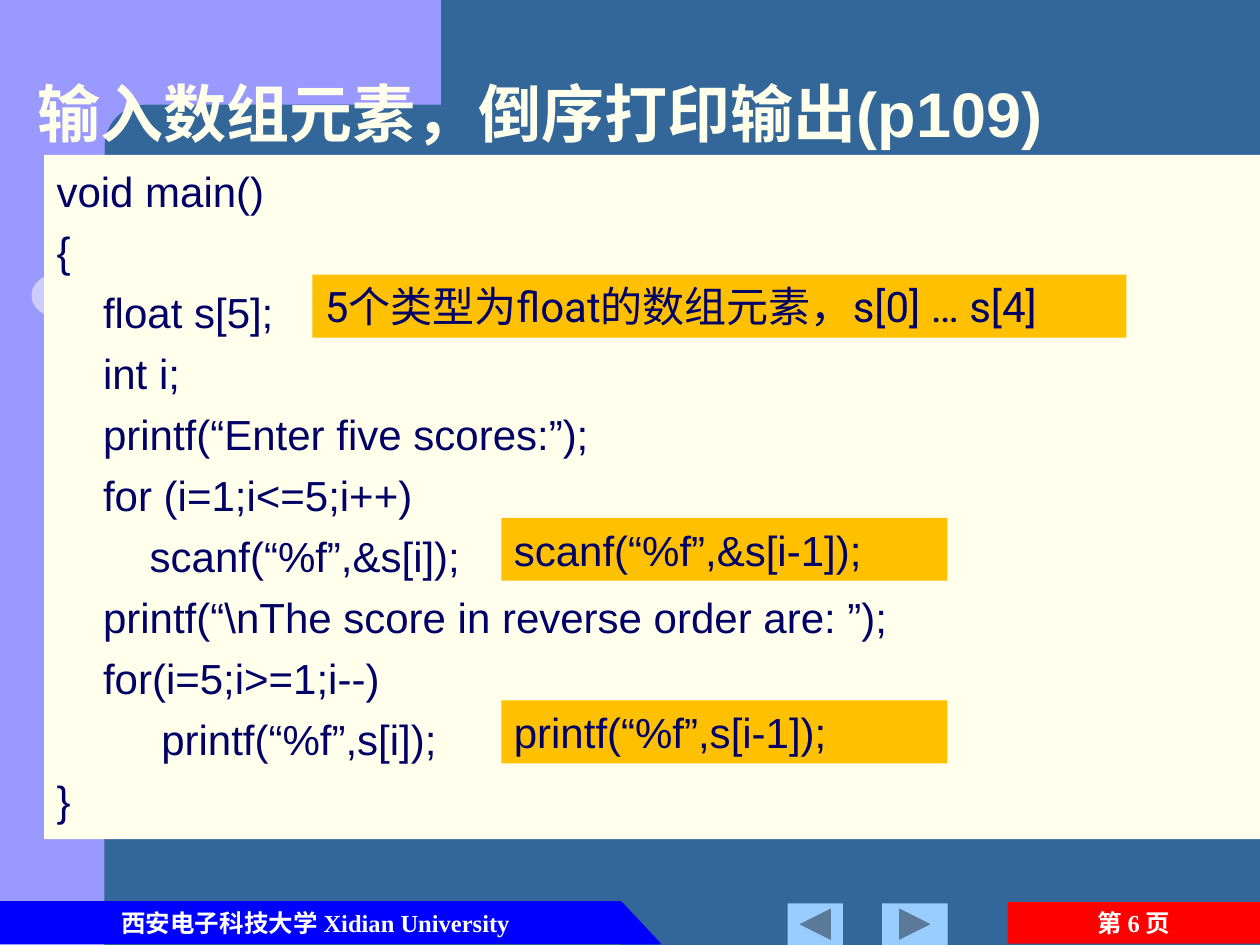
import math
from dataclasses import dataclass

from lxml import etree
from pptx import Presentation
from pptx.dml.color import RGBColor
from pptx.enum import shapes, text
from pptx.oxml.ns import qn
from pptx.util import Emu, Inches, Pt

NAVY = RGBColor(0x00, 0x00, 0x66)
IVORY = RGBColor(0xFF, 0xFF, 0xEB)
STEEL = RGBColor(0x33, 0x66, 0x99)
LILAC = RGBColor(0x99, 0x99, 0xFF)
PALE_LILAC = RGBColor(0xCC, 0xCC, 0xFF)
SKY = RGBColor(0x99, 0xCC, 0xFF)
BLUE = RGBColor(0x00, 0x00, 0xFF)
RED = RGBColor(0xFF, 0x00, 0x00)
AMBER = RGBColor(0xFF, 0xC0, 0x00)
WHITE = RGBColor(0xFF, 0xFF, 0xFF)

CJK = "Noto Sans CJK SC"
SERIF = "Times New Roman"
COLUMNS, ROWS = 100, 75
KIND = shapes.MSO_SHAPE
ALIGN = text.PP_ALIGN
ANCHOR = text.MSO_ANCHOR

CODE = """void main()
{
    float s[5];
    int i;
    printf(“Enter five scores:”);
    for (i=1;i<=5;i++)
        scanf(“%f”,&s[i]);
    printf(“\\nThe score in reverse order are: ”);
    for(i=5;i>=1;i--)
         printf(“%f”,s[i]);
}""".splitlines()


@dataclass(frozen=True)
class Area:
    """A place on the grid, in columns and rows."""
    col: float
    row: float
    cols: float
    rows: float


@dataclass(frozen=True)
class Style:
    size: float
    font: str
    color: RGBColor
    bold: bool = False


@dataclass(frozen=True)
class Note:
    area: Area
    words: str
    font: str


CODE_STYLE = Style(24, "Arial", NAVY)
NOTES = (
    Note(Area(24.8, 21.8, 64.6, 5), "5个类型为float的数组元素，s[0] … s[4]", "Roboto"),
    Note(Area(39.8, 41.1, 35.4, 5), "scanf(“%f”,&s[i-1]);", "Arial"),
    Note(Area(39.8, 55.6, 35.4, 5), "printf(“%f”,s[i-1]);", "Arial"),
)

deck = Presentation()
deck.slide_width, deck.slide_height = Inches(10), Inches(7.5)
CELL_W, CELL_H = deck.slide_width / COLUMNS, deck.slide_height / ROWS
slide = deck.slides.add_slide(deck.slide_layouts[5])


def box(area: Area) -> tuple:
    return (Emu(round(area.col * CELL_W)), Emu(round(area.row * CELL_H)),
            Emu(round(area.cols * CELL_W)), Emu(round(area.rows * CELL_H)))


def paint(shape, fill: RGBColor) -> None:
    shape.shadow.inherit = False
    shape.fill.solid()
    shape.fill.fore_color.rgb = fill
    shape.line.fill.background()


def add_block(kind, area: Area, fill: RGBColor, turn: float = 0):
    block = slide.shapes.add_shape(kind, *box(area))
    paint(block, fill)
    block.rotation = turn
    return block


def add_run(paragraph, words: str, style: Style) -> None:
    run = paragraph.add_run()
    run.text = words
    font = run.font
    font.size, font.name, font.bold = Pt(style.size), style.font, style.bold
    font.color.rgb = style.color
    latin = font._element.find(qn("a:latin"))
    east_asian = etree.Element(qn("a:ea"), typeface=CJK)
    latin.addnext(east_asian)


def set_frame(shape, anchor, wrap: bool = True):
    frame = shape.text_frame
    frame.word_wrap, frame.vertical_anchor = wrap, anchor
    frame.auto_size = text.MSO_AUTO_SIZE.NONE
    return frame


def add_footer_text(shape, runs) -> None:
    frame = set_frame(shape, ANCHOR.MIDDLE)
    frame.margin_top = frame.margin_bottom = 0
    line = frame.paragraphs[0]
    line.alignment = ALIGN.CENTER
    for words, font in runs:
        add_run(line, words, Style(14, font, WHITE, True))


def add_corner() -> None:
    """The upper left block, whose inner corner is rounded."""
    center, radius, steps = 11.6, 3.3, 12
    arc = [(center - radius * math.sin(angle), center - radius * math.cos(angle))
           for angle in (math.pi / 2 * i / steps for i in range(steps + 1))]
    outline = [(35, 0), (35, 8.3), *arc, (8.3, 12.8), (5, 12.8), (5, 0)]
    points = [(round(x * CELL_W), round(y * CELL_H)) for x, y in outline]
    builder = slide.shapes.build_freeform(*points[0])
    builder.add_line_segments(points[1:], close=True)
    paint(builder.convert_to_shape(), LILAC)


def build() -> None:
    # Backdrop
    slide.background.fill.solid()
    slide.background.fill.fore_color.rgb = STEEL
    add_block(KIND.RECTANGLE, Area(0, 0, 8.3, ROWS), LILAC)
    add_corner()
    add_block(KIND.FLOWCHART_DELAY, Area(2.5, 21.7, 4.3, 3.5), PALE_LILAC, 180)

    # Footer with university, page number and navigation
    for kind, area in ((KIND.RECTANGLE, Area(0, 71.6, 49.2, 3.3)),
                       (KIND.RIGHT_TRIANGLE, Area(49.3, 71.6, 3.1, 3.3))):
        banner = add_block(kind, area, BLUE)
        banner.line.color.rgb = BLUE
        banner.line.width = Pt(0.75)
    university = slide.shapes.add_textbox(*box(Area(2.9, 71.6, 44.3, 3.3)))
    add_footer_text(university, [("西安电子科技大学 Xidian University", SERIF)])
    page = add_block(KIND.RECTANGLE, Area(80, 71.6, 20, 3.3), RED)
    add_footer_text(page, [("第 ", CJK), ("6 ", SERIF), ("页", CJK)])
    for area, turn in ((Area(70, 71.7, 5.2, 3.3), 0), (Area(62.5, 71.7, 4.4, 3.3), 180)):
        add_block(KIND.ACTION_BUTTON_FORWARD_OR_NEXT, area, SKY, turn)

    # Title, brought in front of the backdrop
    title = slide.shapes.title
    title.left, title.top, title.width, title.height = box(Area(2, 0, 86.7, 12.5))
    slide.shapes._spTree.append(title._element)
    heading = set_frame(title, ANCHOR.BOTTOM).paragraphs[0]
    heading.alignment, heading.line_spacing = ALIGN.LEFT, 0.9
    add_run(heading, "输入数组元素，倒序打印输出(p109)", Style(36, "Arial", IVORY, True))

    # Program listing
    listing = add_block(KIND.RECTANGLE, Area(3.5, 12.3, 96.5, 54.3), IVORY)
    frame = set_frame(listing, ANCHOR.TOP)
    frame.margin_top = Inches(0.08)
    for number, code_line in enumerate(CODE):
        line = frame.add_paragraph() if number else frame.paragraphs[0]
        line.alignment = ALIGN.LEFT
        if number:
            line.space_before = Pt(6)
        add_run(line, code_line, CODE_STYLE)

    # Corrections and remarks beside the code
    for note in NOTES:
        remark = add_block(KIND.RECTANGLE, note.area, AMBER)
        line = set_frame(remark, ANCHOR.TOP).paragraphs[0]
        line.alignment = ALIGN.LEFT
        add_run(line, note.words, Style(24, note.font, NAVY))

    deck.save("out.pptx")


if __name__ == "__main__":
    build()
